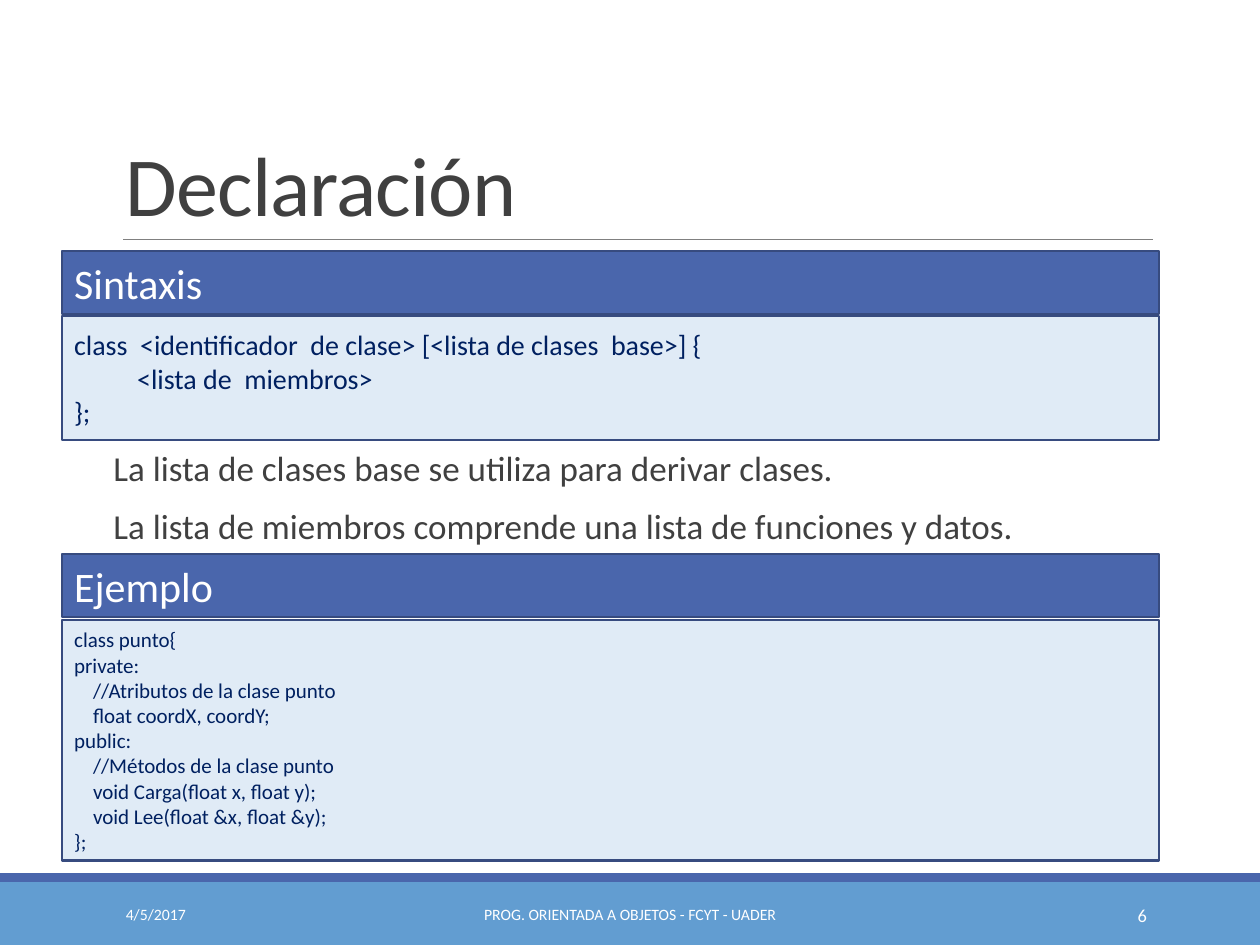
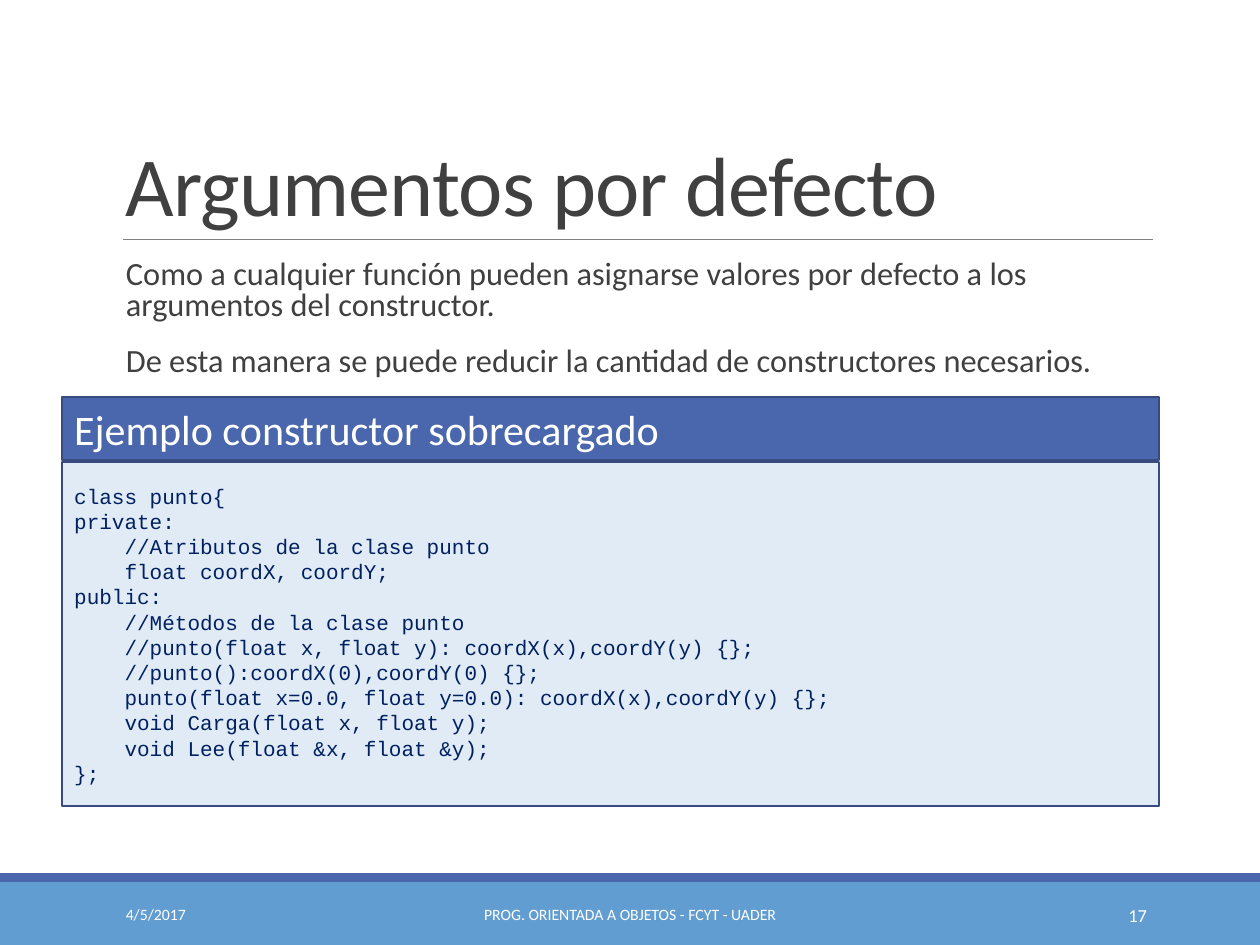
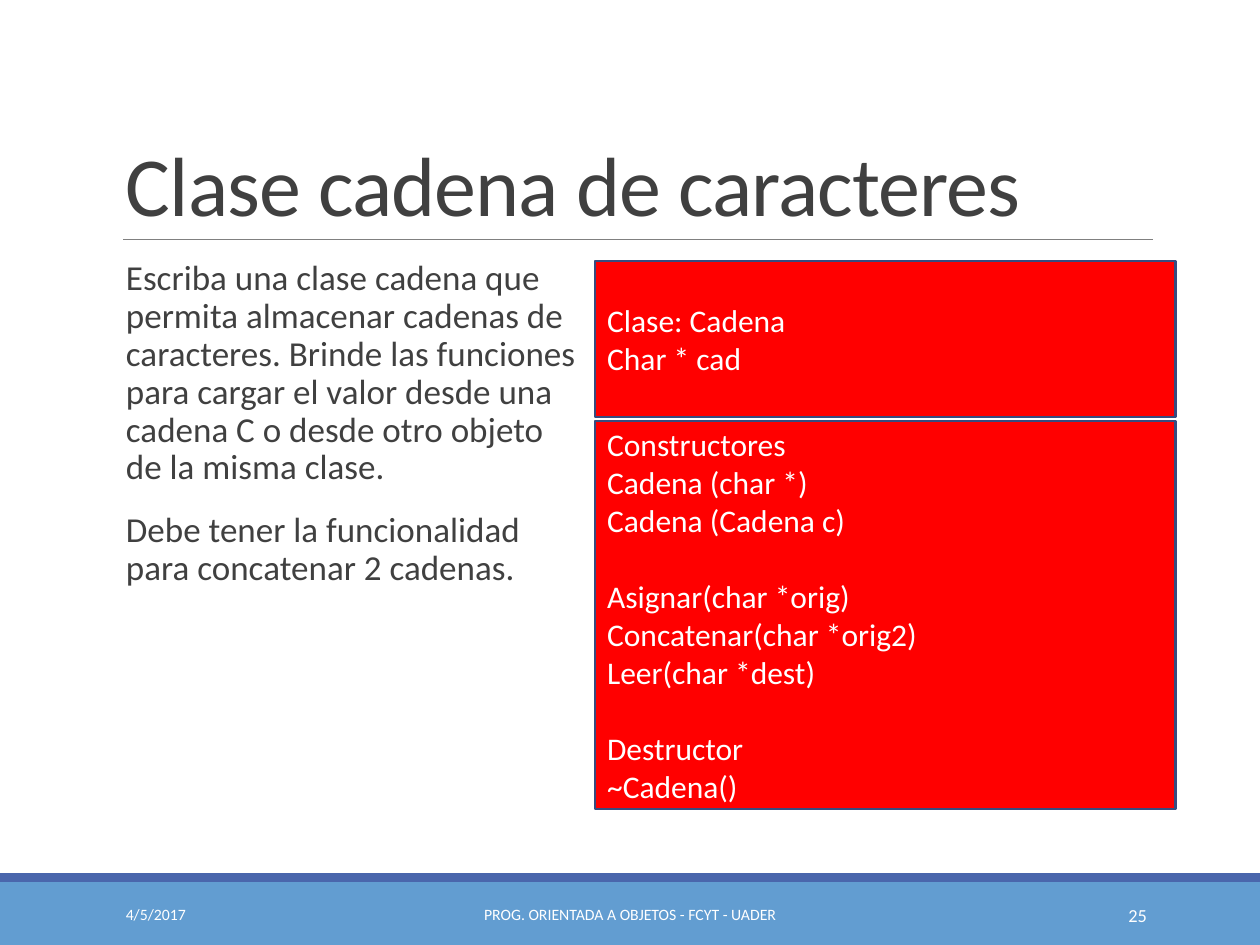
import pptx
import pptx.dml.color
import pptx.enum.shapes
import pptx.enum.text
import pptx.oxml.ns
import pptx.util
import lxml.etree

Inches, Pt = pptx.util.Inches, pptx.util.Pt
ALIGN = pptx.enum.text.PP_ALIGN
ANCHOR = pptx.enum.text.MSO_ANCHOR
WIDTH, HEIGHT = 10, 7.5

COLORS = {
    "band": "629DD1", "accent": "4A66AC", "border": "374B7F", "rule": "808080",
    "text": "404040", "light": "FFFFFF", "code_fill": "E0EBF6", "code": "002060", "red": "FF0000",
}
MARGIN = 0.9
BODY_TOP = 2.02
PANEL_LEFT, PANEL_WIDTH = 0.49, 8.71
HEADER_HEIGHT = 0.5

DATE = "4/5/2017"
COURSE = "PROG. ORIENTADA A OBJETOS - FCYT - UADER"

# A line is a string, or (string, indent level), or (string, level, space before).
POINT_FIELDS = ["class punto{", "private:", ("//Atributos de la clase punto", 1),
                ("float coordX, coordY;", 1), "public:", ("//Métodos de la clase punto", 1)]
POINT_METHODS = [("void Carga(float x, float y);", 1), ("void Lee(float &x, float &y);", 1), "};"]
BLANK_LINE = 22

SLIDES = [
    {
        "title": "Declaración", "number": 6,
        "body": {"top": 3.56, "width": 8.25, "height": 0.89, "size": 20, "spacing": 0.8, "indent": 0},
        "paragraphs": ["La lista de clases base se utiliza para derivar clases.",
                       "La lista de miembros comprende una lista de funciones y datos."],
        "panels": [
            {"header": "Sintaxis", "top": 1.99, "height": 0.98, "size": 16, "step": 0.5,
             "code": ["class  <identificador  de clase> [<lista de clases  base>] {",
                      ("<lista de  miembros>", 1), "};"]},
            {"header": "Ejemplo", "top": 4.4, "height": 1.91, "size": 12, "step": 0.15,
             "code": POINT_FIELDS + POINT_METHODS},
        ],
    },
    {
        "title": "Argumentos por defecto", "number": 17,
        "body": {"top": BODY_TOP, "width": 8.3, "height": 1.13, "size": 18.5, "spacing": 0.8, "indent": 0.1},
        "paragraphs": ["Como a cualquier función pueden asignarse valores por defecto a los "
                       "argumentos del constructor.",
                       "De esta manera se puede reducir la cantidad de constructores necesarios."],
        "panels": [
            {"header": "Ejemplo constructor sobrecargado", "top": 3.15, "height": 2.73,
             "size": 12, "step": 0.4, "font": "Courier New",
             "code": POINT_FIELDS + [
                 ("//punto(float x, float y): coordX(x),coordY(y) {};", 1),
                 ("//punto():coordX(0),coordY(0) {};", 1),
                 ("punto(float x=0.0, float y=0.0): coordX(x),coordY(y) {};", 1)] + POINT_METHODS},
        ],
    },
    {
        "title": "Clase cadena de caracteres", "number": 25,
        "body": {"top": BODY_TOP, "width": 3.67, "height": 4.4, "size": 20, "spacing": 0.9, "indent": 0.1},
        "paragraphs": ["Escriba una clase cadena que permita almacenar cadenas de caracteres. "
                       "Brinde las funciones para cargar el valor desde una cadena C o desde otro "
                       "objeto de la misma clase.",
                       "Debe tener la funcionalidad para concatenar 2 cadenas."],
        "class_box": {
            "left": 4.72, "top": 2.07, "width": 4.61, "gap": 0.03,
            "parts": [
                (1.24, ["Clase: Cadena", "Char * cad"]),
                (3.08, ["Constructores", "Cadena (char *)", "Cadena (Cadena c)",
                        ("Asignar(char *orig)", 0, BLANK_LINE), "Concatenar(char *orig2)",
                        "Leer(char *dest)", ("Destructor", 0, BLANK_LINE), "~Cadena()"]),
            ],
        },
    },
]


def color(name):
    """Return the RGB colour for a palette name."""
    return pptx.dml.color.RGBColor.from_string(COLORS[name])


def write_text(shape, lines, size=18, ink="light", font="Calibri", align=ALIGN.LEFT,
               anchor=ANCHOR.MIDDLE, spacing=None, before=0, after=0, indent=0, step=0,
               side_inset=0.1, tracking=None):
    """Fill a shape with paragraphs in one format."""
    frame = shape.text_frame
    frame.word_wrap = True
    frame.vertical_anchor = anchor
    frame.margin_left = frame.margin_right = Inches(side_inset)
    for index, line in enumerate(lines):
        entry = (line,) if isinstance(line, str) else line
        text, level, extra = entry + (0, 0)[len(entry) - 1:]
        paragraph = frame.add_paragraph() if index else frame.paragraphs[0]
        paragraph.alignment = align
        paragraph.line_spacing = spacing
        paragraph.space_before, paragraph.space_after = Pt(before + extra), Pt(after)
        left = indent + level * step
        if left:
            paragraph._p.get_or_add_pPr().set("marL", str(Inches(left)))
        run = paragraph.add_run()
        run.text = text
        run.font.size, run.font.name = Pt(size), font
        run.font.color.rgb = color(ink)
        if tracking:
            run.font._element.set("spc", str(int(tracking * 100)))


def add_text(slide, place, lines, **text_format):
    """Add a text box at (left, top, width, height)."""
    write_text(slide.shapes.add_textbox(*map(Inches, place)), lines, **text_format)


def add_box(slide, place, fill, border=None, lines=(), **text_format):
    """Add a filled rectangle, with an optional border and text."""
    shape = slide.shapes.add_shape(pptx.enum.shapes.MSO_SHAPE.RECTANGLE, *map(Inches, place))
    shape.shadow.inherit = False
    shape.fill.solid()
    shape.fill.fore_color.rgb = color(fill)
    if border:
        shape.line.color.rgb = color(border)
        shape.line.width = Pt(1.25)
    else:
        shape.line.fill.background()
    if lines:
        write_text(shape, lines, **text_format)


def add_rule(slide, left, right, top):
    """Draw the thin line below the title."""
    rule = slide.shapes.add_connector(pptx.enum.shapes.MSO_CONNECTOR.STRAIGHT,
                                      *map(Inches, (left, top, right, top)))
    rule.line.color.rgb = color("rule")
    rule.line.width = Pt(0.5)
    lxml.etree.SubElement(rule._element.spPr, pptx.oxml.ns.qn("a:effectLst"))


def add_frame(slide, title, number):
    """Add what all slides share: bands, rule, title and footer."""
    add_box(slide, (0, 7, WIDTH, 0.5), "band")
    add_box(slide, (0, 6.93, WIDTH, 0.07), "accent")
    add_rule(slide, 0.98, 9.15, 1.9)
    add_text(slide, (MARGIN, 0.31, 8.25, 1.59), [title], size=48, ink="text",
             anchor=ANCHOR.BOTTOM, spacing=0.85, tracking=-0.5)
    footer = [(MARGIN, 2.03, DATE, 9, ALIGN.LEFT),
              (3.02, 3.96, COURSE, 9, ALIGN.CENTER),
              (8.12, 1.08, str(number), 10.5, ALIGN.RIGHT)]
    for left, width, text, size, align in footer:
        add_text(slide, (left, 7.06, width, 0.4), [text], size=size, align=align)


def add_body(slide, paragraphs, body):
    """Add the running text of a slide."""
    add_text(slide, (MARGIN, body["top"], body["width"], body["height"]), paragraphs,
             size=body["size"], ink="text", anchor=ANCHOR.TOP, spacing=body["spacing"],
             before=12, after=2, indent=body["indent"], side_inset=0)


def add_panel(slide, panel):
    """Add a header bar with a code box below it."""
    add_box(slide, (PANEL_LEFT, panel["top"], PANEL_WIDTH, HEADER_HEIGHT), "accent", "border",
            [panel["header"]], size=24)
    code_top = panel["top"] + HEADER_HEIGHT + 0.02
    add_box(slide, (PANEL_LEFT, code_top, PANEL_WIDTH, panel["height"]), "code_fill", "border",
            panel["code"], size=panel["size"], ink="code", step=panel["step"],
            font=panel.get("font", "Calibri"))


def add_class_box(slide, box):
    """Stack the parts of a class diagram."""
    top = box["top"]
    for height, lines in box["parts"]:
        add_box(slide, (box["left"], top, box["width"], height), "red", "border", lines)
        top += height + box["gap"]


presentation = pptx.Presentation()
presentation.slide_width, presentation.slide_height = Inches(WIDTH), Inches(HEIGHT)
for content in SLIDES:
    slide = presentation.slides.add_slide(presentation.slide_layouts[6])
    add_frame(slide, content["title"], content["number"])
    add_body(slide, content["paragraphs"], content["body"])
    for panel in content.get("panels", []):
        add_panel(slide, panel)
    if "class_box" in content:
        add_class_box(slide, content["class_box"])
presentation.save("out.pptx")
